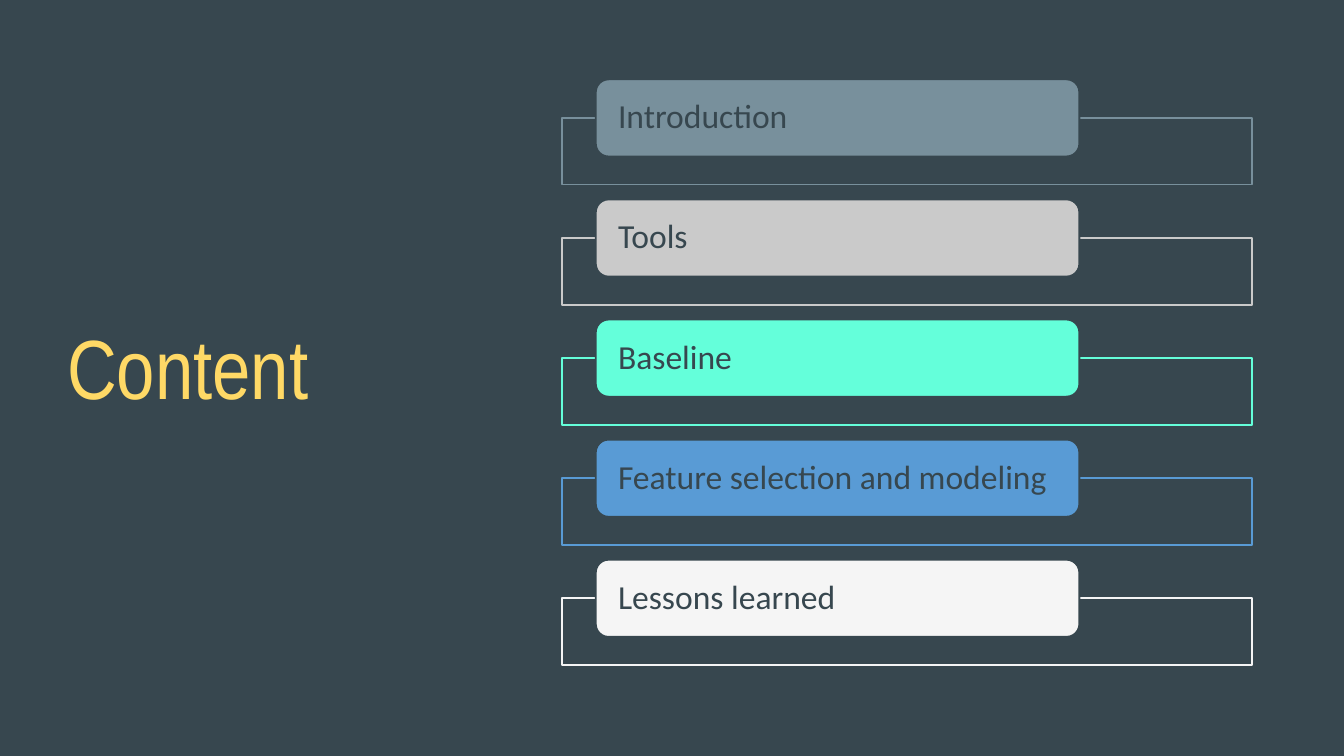
from dataclasses import dataclass

from pptx import Presentation
from pptx.dml.color import RGBColor
from pptx.enum.shapes import MSO_SHAPE
from pptx.enum.text import MSO_ANCHOR, MSO_AUTO_SIZE, PP_ALIGN
from pptx.util import Cm, Pt

RECTANGLE = MSO_SHAPE.RECTANGLE
ROUNDED = MSO_SHAPE.ROUNDED_RECTANGLE
MIDDLE = MSO_ANCHOR.MIDDLE
LEFT = PP_ALIGN.LEFT
NO_AUTOFIT = MSO_AUTO_SIZE.NONE
TITLE_ONLY = 5


@dataclass(frozen=True)
class Theme:
    """Colours, fonts and type sizes of the deck."""

    background: str = "37474F"
    title_color: str = "FFD966"
    title_font: str = "Arial Narrow"
    title_size: float = 45
    topic_font: str = "Calibri"
    topic_size: float = 18
    line_width: float = 1
    line_spacing: float = 0.9


TOPICS = {
    "Introduction": "78909C",
    "Tools": "CACACA",
    "Baseline": "64FFDA",
    "Feature selection and modeling": "599BD5",
    "Lessons learned": "F5F5F5",
}
FIRST_TOP = 1.5
TOPIC_PITCH = 2.27
FRAME_DROP = 0.73


def apply_format(target, values):
    """Set each named attribute of the target."""
    for name, value in values.items():
        setattr(target, name, value)


class ContentSlide:
    """Draws the parts of a content slide in one theme."""

    def __init__(self, presentation, theme):
        """Add a title-only slide with the theme background."""
        self.theme = theme
        self.slide = presentation.slides.add_slide(
            presentation.slide_layouts[TITLE_ONLY])
        fill = self.slide.background.fill
        fill.solid()
        fill.fore_color.rgb = RGBColor.from_string(theme.background)

    def label(self, holder, wording, font, size, color, side_inset, end_inset):
        """Put left-aligned, vertically centred text in the holder."""
        frame = holder.text_frame
        apply_format(frame, {
            "text": wording,
            "word_wrap": True,
            "auto_size": NO_AUTOFIT,
            "vertical_anchor": MIDDLE,
            "margin_left": Cm(side_inset),
            "margin_right": Cm(side_inset),
            "margin_top": Cm(end_inset),
            "margin_bottom": Cm(end_inset),
        })
        paragraph = frame.paragraphs[0]
        apply_format(paragraph, {
            "alignment": LEFT,
            "line_spacing": self.theme.line_spacing,
        })
        run_font = paragraph.runs[0].font
        apply_format(run_font, {"name": font, "size": Pt(size)})
        run_font.color.rgb = RGBColor.from_string(color)

    def title(self, wording, left, top, width, height):
        """Move and format the title placeholder."""
        heading = self.slide.shapes.title
        apply_format(heading, {
            "left": Cm(left),
            "top": Cm(top),
            "width": Cm(width),
            "height": Cm(height),
        })
        theme = self.theme
        self.label(heading, wording, theme.title_font, theme.title_size,
                   theme.title_color, 0.18, 0.1)

    def box(self, preset, left, top, width, height, fill_color, line_color):
        """Add a filled and outlined preset shape."""
        outline = self.slide.shapes.add_shape(
            preset, Cm(left), Cm(top), Cm(width), Cm(height))
        outline.shadow.inherit = False
        outline.fill.solid()
        outline.fill.fore_color.rgb = RGBColor.from_string(fill_color)
        outline.line.color.rgb = RGBColor.from_string(line_color)
        outline.line.width = Pt(self.theme.line_width)
        return outline

    def topic(self, wording, color, top):
        """Add an outlined frame with a labelled tab across its top edge."""
        theme = self.theme
        self.box(RECTANGLE, 10.62, top + FRAME_DROP, 13.05, 1.26,
                 theme.background, color)
        tab = self.box(ROUNDED, 11.26, top, 9.14, 1.46,
                       color, theme.background)
        self.label(tab, wording, theme.topic_font, theme.topic_size,
                   theme.background, 0.35, 0)


def main():
    """Build and save the content slide."""
    presentation = Presentation()
    apply_format(presentation, {
        "slide_width": Cm(25.4),
        "slide_height": Cm(14.29),
    })
    content = ContentSlide(presentation, Theme())
    content.title("Content", 1.09, 1.3, 7.92, 11.46)
    for index, (wording, color) in enumerate(TOPICS.items()):
        content.topic(wording, color, FIRST_TOP + index * TOPIC_PITCH)
    presentation.save("out.pptx")


if __name__ == "__main__":
    main()
